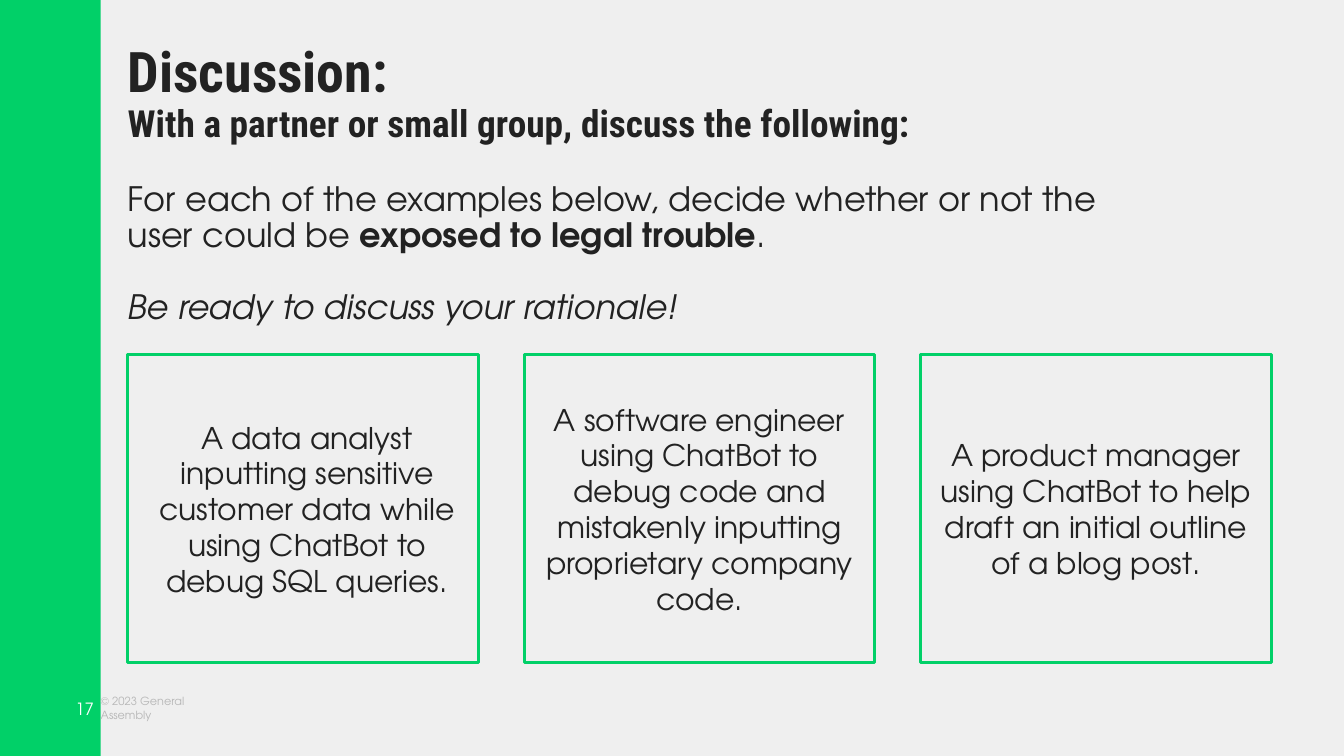
from pptx import Presentation
from pptx.dml.color import RGBColor
from pptx.enum.shapes import MSO_SHAPE as SHAPE
from pptx.enum.text import MSO_ANCHOR as ANCHOR, MSO_AUTO_SIZE as AUTO, PP_ALIGN as ALIGN
from pptx.util import Inches, Pt

HEAD, BODY = "Roboto Condensed", "TeX Gyre Adventor"
GREEN, INK, GREY, WHITE, PAPER = "01D068", "222222", "B7B7B7", "FFFFFF", "EFEFEF"

TITLE = [
    dict(runs=[("Discussion:", True)], font=HEAD, size=30),
    dict(runs=[("With a partner or small group, discuss the following:", True)],
         font=HEAD, size=20),
    dict(runs=[("For each of the examples below, decide whether or not the user could be ", False),
               ("exposed to legal trouble", True), (".", False)],
         font=BODY, size=18, before=20),
    dict(runs=[("Be ready to discuss your rationale!", False)],
         font=BODY, size=18, before=19, italic=True),
]
CARDS = [
    ("A data analyst inputting sensitive customer data while using ChatBot to debug SQL queries.", 0.06),
    ("A software engineer using ChatBot to debug code and mistakenly inputting "
     "proprietary company code.", 0),
    ("A product manager using ChatBot to help draft an initial outline of a blog post.", 0),
]
LABELS = [
    ("© 2023 General Assembly", (0.75, 5.17, 1, 0.2), 6, GREY, ALIGN.LEFT),
    ("17", (0.35, 5.1, 0.35, 0.35), 9, WHITE, ALIGN.RIGHT),
]
SLIDE_W = 10
SLIDE_H = SLIDE_W * 9 / 16
LEFT, CARD_TOP, CARD_W, CARD_H, CARD_STEP = 0.95, 2.64, 2.61, 2.29, 2.95


def rgb(value):
    return RGBColor.from_string(value)


def box(*lengths):
    return [Inches(v) for v in lengths]


def style(p, font, size, color, align):
    p.alignment = align
    p.font.name, p.font.size = font, Pt(size)
    p.font.color.rgb = rgb(color)


def frame(sp, inset, anchor):
    tf = sp.text_frame
    tf.word_wrap, tf.auto_size, tf.vertical_anchor = True, AUTO.NONE, anchor
    tf.margin_left = tf.margin_right = tf.margin_top = tf.margin_bottom = Inches(inset)
    return tf


def rect(s, *at):
    sp = s.shapes.add_shape(SHAPE.RECTANGLE, *box(*at))
    sp.shadow.inherit = False
    return sp


def add_title(s):
    sp = s.shapes.title
    sp.left, sp.top, sp.width, sp.height = box(LEFT, 0.33, 7.29, 1.02)
    tf = frame(sp, 0, ANCHOR.TOP)
    for i, item in enumerate(TITLE):
        p = tf.add_paragraph() if i else tf.paragraphs[0]
        style(p, item["font"], item["size"], INK, ALIGN.LEFT)
        p.line_spacing = 0.9
        p.space_before = Pt(item.get("before", 0))
        p.font.italic = item.get("italic", False)
        for text, bold in item["runs"]:
            r = p.add_run()
            r.text, r.font.bold = text, bold


def add_card(s, i, text, indent):
    sp = rect(s, LEFT + i * CARD_STEP, CARD_TOP, CARD_W, CARD_H)
    sp.fill.background()
    sp.line.color.rgb, sp.line.width = rgb(GREEN), Pt(1.5)
    p = frame(sp, 0.1, ANCHOR.MIDDLE).paragraphs[0]
    p.text = text
    p._p.get_or_add_pPr().set("marL", str(Inches(indent)))
    style(p, BODY, 16, INK, ALIGN.CENTER)


def main():
    prs = Presentation()
    prs.slide_width, prs.slide_height = box(SLIDE_W, SLIDE_H)
    s = prs.slides.add_slide(prs.slide_layouts[5])
    s.background.fill.solid()
    s.background.fill.fore_color.rgb = rgb(PAPER)

    band = rect(s, 0, 0, 0.75, SLIDE_H)
    band.fill.solid()
    band.fill.fore_color.rgb = rgb(GREEN)
    band.line.fill.background()

    for text, at, size, color, align in LABELS:
        p = frame(s.shapes.add_textbox(*box(*at)), 0, ANCHOR.MIDDLE).paragraphs[0]
        p.text = text
        style(p, BODY, size, color, align)

    add_title(s)
    for i, (text, indent) in enumerate(CARDS):
        add_card(s, i, text, indent)
    prs.save("out.pptx")


if __name__ == "__main__":
    main()
